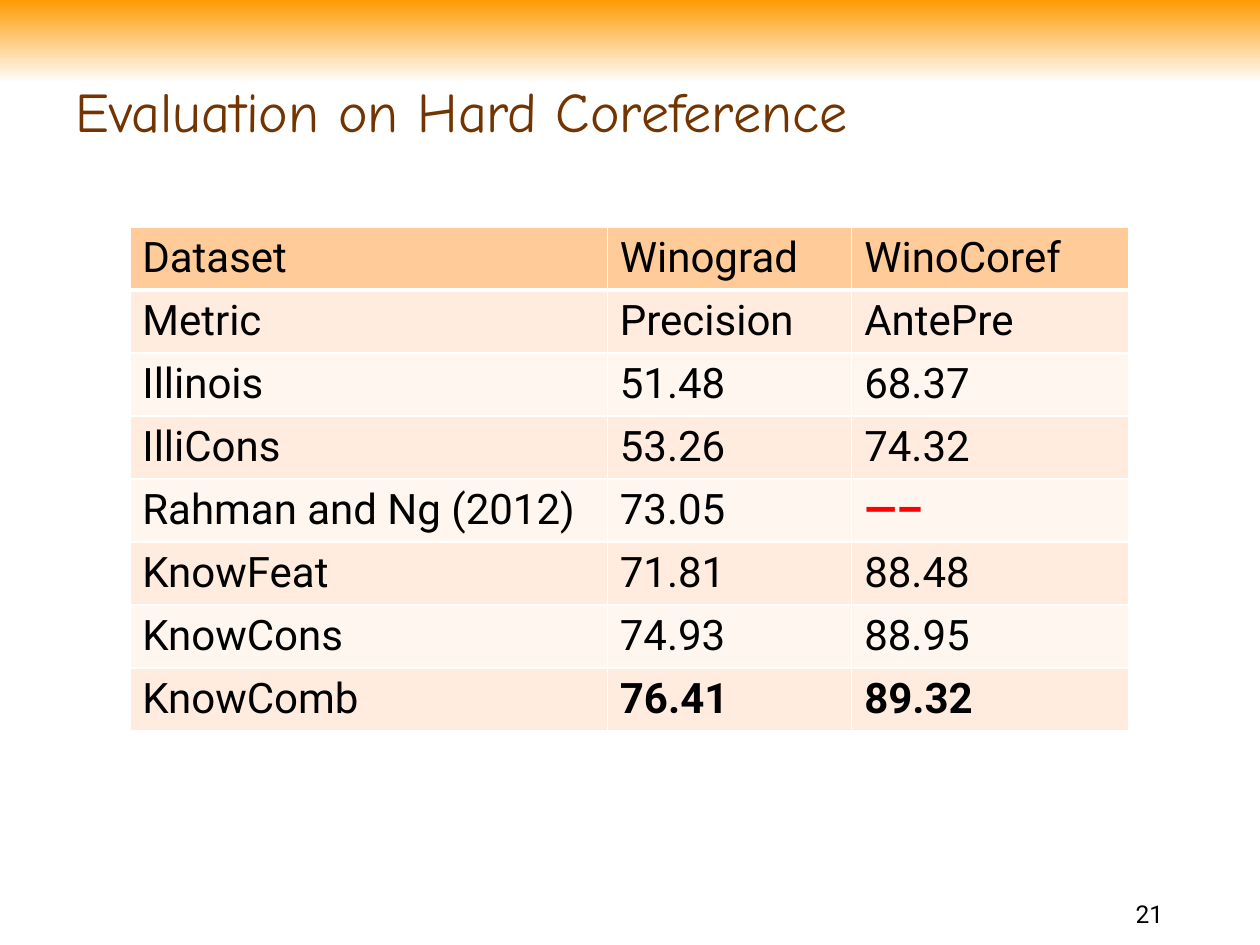
"""Build the slide with the table of results on hard coreference."""
import pptx
import pptx.dml.color
import pptx.enum.dml
import pptx.enum.shapes
import pptx.enum.text
import pptx.oxml
import pptx.oxml.ns
import pptx.util
from pptx.util import Inches

COLORS = {
    "orange": "FF9900", "white": "FFFFFF", "brown": "723400", "black": "000000",
    "red": "FF0000", "header": "FFCC99", "odd": "FFECDE", "even": "FFF6EF",
}
TITLE = "Evaluation on Hard Coreference"
PAGE_NUMBER = "21"
RESULTS = [
    ("Dataset", "Winograd", "WinoCoref"),
    ("Metric", "Precision", "AntePre"),
    ("Illinois", "51.48", "68.37"),
    ("IlliCons", "53.26", "74.32"),
    ("Rahman and Ng (2012)", "73.05", "—–"),
    ("KnowFeat", "71.81", "88.48"),
    ("KnowCons", "74.93", "88.95"),
    ("KnowComb", "76.41", "89.32"),
]
MISSING = "—–"
BEST = ("76.41", "89.32")
COLUMN_WIDTHS = (3.79, 1.94, 2.2)
ROW_HEIGHT = 0.49


def rgb(name):
    return pptx.dml.color.RGBColor.from_string(COLORS[name])


def write(frame, text, size, font, color, bold=False):
    frame.text = text
    span = frame.paragraphs[0].runs[0]
    span.font.size = pptx.util.Pt(size)
    span.font.name = font
    span.font.bold = bold
    span.font.color.rgb = rgb(color)


def add_text(page, place, anchor, align, *style):
    frame = page.shapes.add_textbox(*map(Inches, place)).text_frame
    frame.word_wrap = True
    frame.vertical_anchor = anchor
    write(frame, *style)
    frame.paragraphs[0].alignment = align


def add_band(page):
    band = page.shapes.add_shape(
        pptx.enum.shapes.MSO_SHAPE.RECTANGLE, 0, Inches(-0.01), Inches(10), Inches(0.67))
    band.shadow.inherit = False
    band.line.fill.background()
    band.fill.gradient()
    band.fill.gradient_angle = 270
    for stop, position, color in zip(band.fill.gradient_stops, (0, 1), ("orange", "white")):
        stop.position = position
        stop.color.rgb = rgb(color)


def set_borders(cell, bottom_width):
    properties = cell._tc.get_or_add_tcPr()
    widths = {"lnL": 1, "lnR": 1, "lnT": 1, "lnB": bottom_width}
    for index, (side, width) in enumerate(widths.items()):
        properties.insert(index, pptx.oxml.parse_xml(
            f'<a:{side} {pptx.oxml.ns.nsdecls("a")} w="{pptx.util.Pt(width)}">'
            f'<a:solidFill><a:srgbClr val="{COLORS["white"]}"/></a:solidFill></a:{side}>'))


def add_results(page):
    table = page.shapes.add_table(
        len(RESULTS), len(COLUMN_WIDTHS), Inches(1.03), Inches(1.8),
        Inches(sum(COLUMN_WIDTHS)), Inches(ROW_HEIGHT * len(RESULTS))).table
    for column, width in zip(table.columns, COLUMN_WIDTHS):
        column.width = Inches(width)
    for row_index, values in enumerate(RESULTS):
        band = "header" if row_index == 0 else ("even", "odd")[row_index % 2]
        for column_index, value in enumerate(values):
            cell = table.cell(row_index, column_index)
            cell.fill.solid()
            cell.fill.fore_color.rgb = rgb(band)
            set_borders(cell, 3 if row_index == 0 else 1)
            color = "red" if value == MISSING else "black"
            write(cell.text_frame, value, 24, "Roboto", color, value in (MISSING, *BEST))


def main():
    deck = pptx.Presentation()
    deck.slide_width, deck.slide_height = Inches(10), Inches(7.5)
    page = deck.slides.add_slide(deck.slide_layouts[6])
    anchors, aligns = pptx.enum.text.MSO_ANCHOR, pptx.enum.text.PP_ALIGN
    add_band(page)
    add_text(page, (0.5, 0.5, 9, 0.75), anchors.MIDDLE, aligns.LEFT,
             TITLE, 32, "Comic Neue", "brown")
    add_results(page)
    add_text(page, (8.33, 7.17, 1, 0.25), anchors.BOTTOM, aligns.RIGHT,
             PAGE_NUMBER, 14, "Roboto", "black")
    deck.save("out.pptx")


if __name__ == "__main__":
    main()
